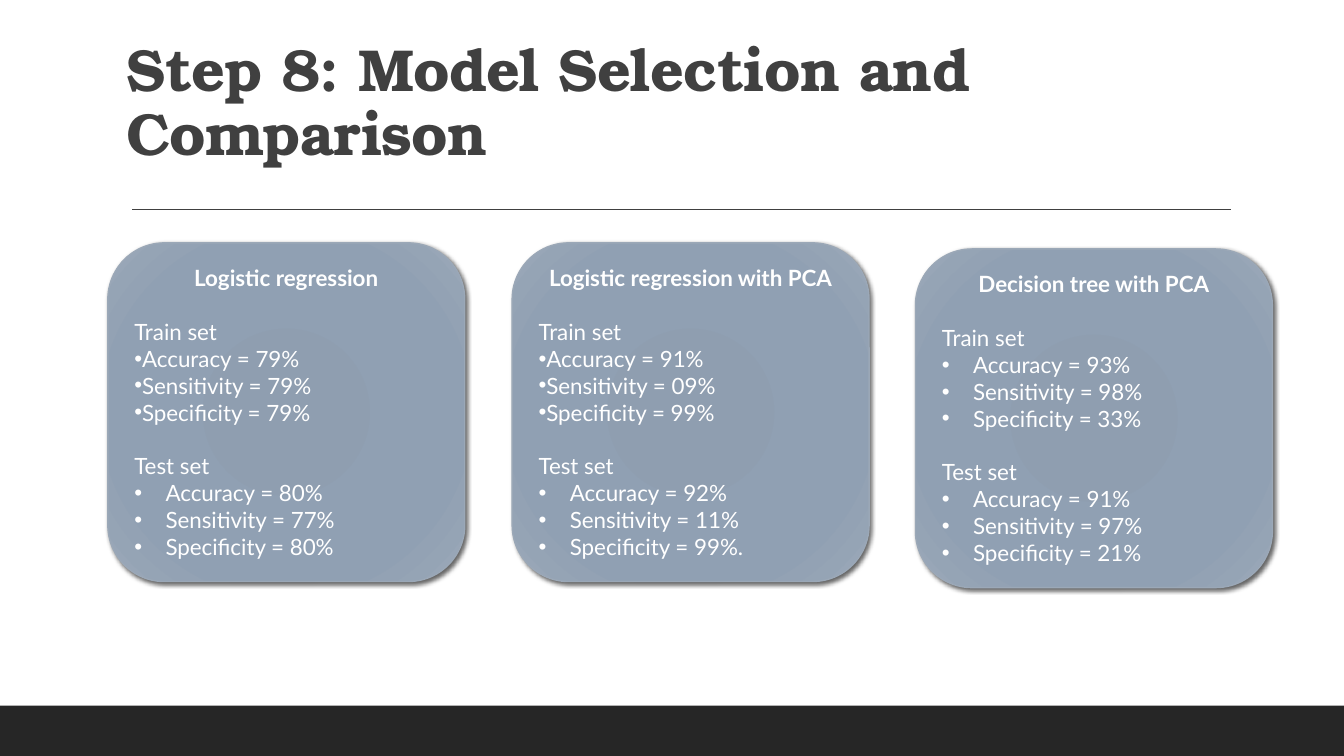
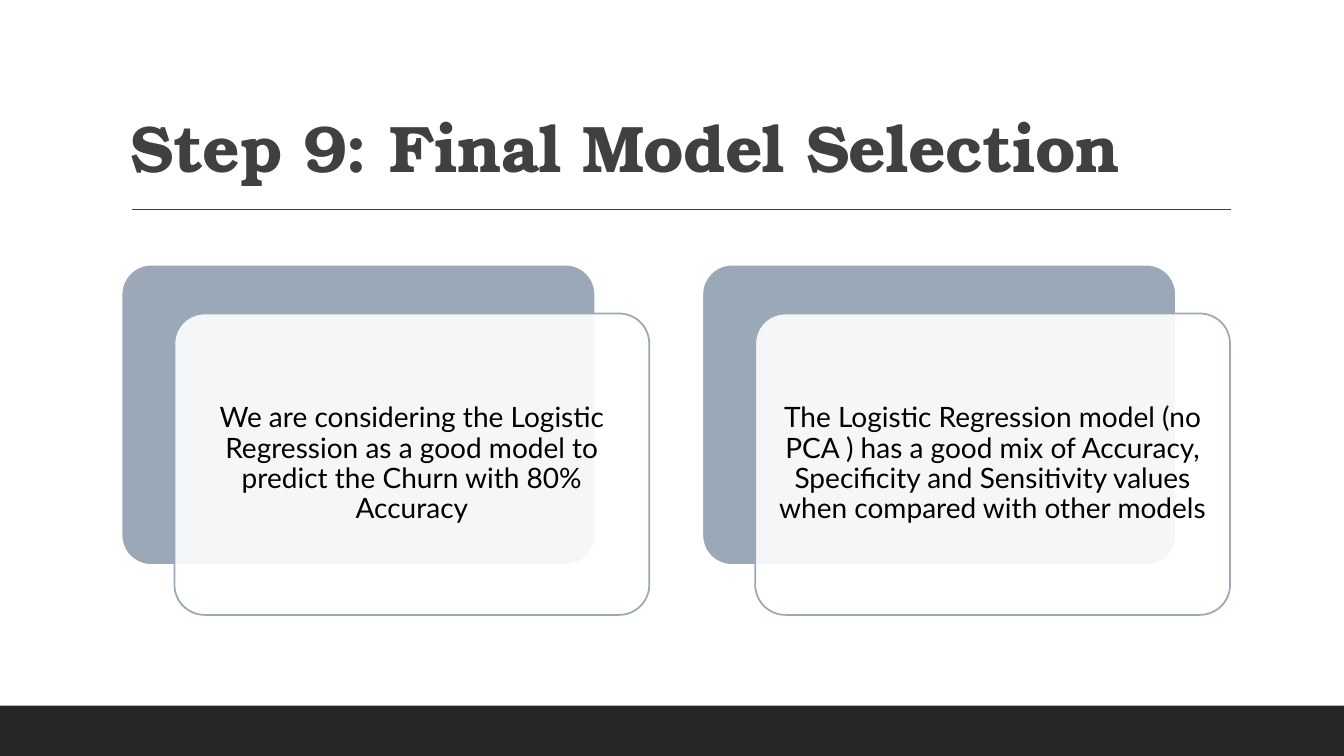
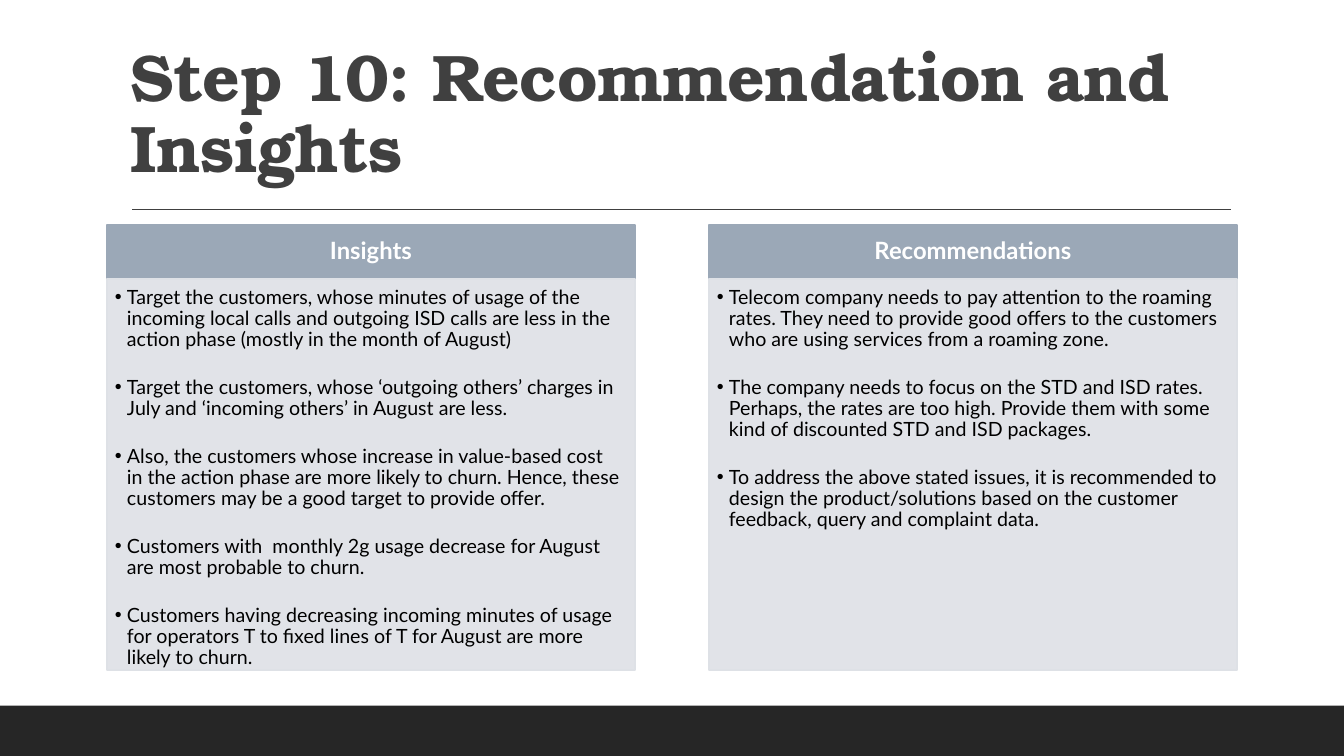
from lxml.etree import SubElement
from pptx import Presentation
from pptx.dml.color import RGBColor
from pptx.enum.shapes import MSO_CONNECTOR, MSO_SHAPE
from pptx.enum.text import MSO_ANCHOR, PP_ALIGN
from pptx.oxml import parse_xml
from pptx.oxml.ns import nsdecls, qn
from pptx.util import Inches, Pt

WHITE = RGBColor(0xFF, 0xFF, 0xFF)
BLACK = RGBColor(0x00, 0x00, 0x00)
CHARCOAL = RGBColor(0x26, 0x26, 0x26)
GRAY = RGBColor(0x40, 0x40, 0x40)
SLATE = RGBColor(0x9B, 0xA8, 0xB7)
PALE = RGBColor(0xDE, 0xE1, 0xE6)
BODY_FONT = "Lato"
TITLE_FONT = "TeX Gyre Bonum"
CARD_STOPS = [(0, "8D9CAE"), (34, "8F9EB0"), (70, "90A0B3"), (100, "9AA8B8")]


def write(shape, text, size=16, color=WHITE, font=BODY_FONT, bold=False,
          align=PP_ALIGN.LEFT, leading=1.0, before=None, after=None,
          bullet=None, spacing=None):
    frame = shape.text_frame
    paragraph = frame.add_paragraph() if frame.text else frame.paragraphs[0]
    if bullet:
        margin, indent = bullet
        props = paragraph._p.get_or_add_pPr()
        props.set("marL", str(Inches(margin)))
        props.set("indent", str(Inches(indent)))
        SubElement(props, qn("a:buFont")).set("typeface", "Arial")
        SubElement(props, qn("a:buChar")).set("char", "•")
    paragraph.alignment = align
    paragraph.line_spacing = leading
    if before:
        paragraph.space_before = Pt(before)
    if after:
        paragraph.space_after = Pt(after)
    run = paragraph.add_run()
    run.text = text
    run.font.name = font
    run.font.size = Pt(size)
    run.font.bold = bold
    run.font.color.rgb = color
    if spacing:
        run._r.get_or_add_rPr().set("spc", str(round(spacing * 100)))


def draw(slide, kind, box, fill, line=None, width=1.25, opacity=None,
         insets=(0.1, 0.05, 0.1, 0.05), anchor=MSO_ANCHOR.MIDDLE):
    shape = slide.shapes.add_shape(kind, *map(Inches, box))
    shape.shadow.inherit = False
    shape.fill.solid()
    shape.fill.fore_color.rgb = fill
    if opacity:
        color = shape._element.spPr.find(qn("a:solidFill"))[0]
        SubElement(color, qn("a:alpha")).set("val", str(opacity * 1000))
    if line is None:
        shape.line.fill.background()
    else:
        shape.line.color.rgb = line
        shape.line.width = Pt(width)
    frame = shape.text_frame
    frame.word_wrap = True
    frame.vertical_anchor = anchor
    (frame.margin_left, frame.margin_top,
     frame.margin_right, frame.margin_bottom) = map(Inches, insets)
    return shape


deck = Presentation()
deck.slide_width = Inches(13.33)
deck.slide_height = Inches(7.5)

titles = [
    ("Step 8: Model Selection and Comparison", (1.16, 0.71, 10.83, 1.01), 42.3),
    ("Step 9: Final Model Selection", (1.2, 0.31, 11, 1.59), 47),
    ("Step 10: Recommendation and Insights", (1.2, 0.31, 11, 1.59), 47),
]
slides = []
for text, box, size in titles:
    slide = deck.slides.add_slide(deck.slide_layouts[6])
    draw(slide, MSO_SHAPE.RECTANGLE, (0, 7, 13.33, 0.5), CHARCOAL)
    rule = slide.shapes.add_connector(
        MSO_CONNECTOR.STRAIGHT, Inches(1.31), Inches(2.08), Inches(12.21), Inches(2.08))
    rule.line.color.rgb = GRAY
    rule.line.width = Pt(1)
    SubElement(rule._element.spPr, qn("a:effectLst"))
    title = slide.shapes.add_textbox(*map(Inches, box))
    title.text_frame.word_wrap = True
    title.text_frame.vertical_anchor = MSO_ANCHOR.BOTTOM
    write(title, text, size=size, color=GRAY, font=TITLE_FONT, bold=True,
          leading=0.9, spacing=-0.5)
    slides.append(slide)
comparison, selection, advice = slides

METRICS = ["Accuracy", "Sensitivity", "Specificity"]
models = [
    ("Logistic regression", 1.07, 2.41, 0,
     ["79%", "79%", "79%"], ["80%", "77%", "80%"]),
    ("Logistic regression with PCA", 5.08, 2.41, 0,
     ["91%", "09%", "99%"], ["92%", "11%", "99%."]),
    ("Decision tree with PCA", 9.08, 2.47, 0.31,
     ["93%", "98%", "33%"], ["91%", "97%", "21%"]),
]
stops = "".join(f'<a:gs pos="{pos * 1000}"><a:srgbClr val="{color}"/></a:gs>'
                for pos, color in CARD_STOPS)
for name, left, top, train_margin, train, test in models:
    card = draw(comparison, MSO_SHAPE.ROUNDED_RECTANGLE, (left, top, 3.54, 3.36),
                SLATE, line=SLATE, width=1)
    card_props = card._element.spPr
    card_props.replace(card_props.find(qn("a:solidFill")), parse_xml(
        f'<a:gradFill {nsdecls("a")}><a:gsLst>{stops}</a:gsLst><a:path path="circle">'
        '<a:fillToRect l="100000" t="100000" r="100000" b="100000"/></a:path></a:gradFill>'))
    card_props.find(qn("a:effectLst")).append(parse_xml(
        f'<a:outerShdw {nsdecls("a")} blurRad="{Pt(3)}" dist="{Pt(2)}" dir="2700000">'
        '<a:srgbClr val="000000"><a:alpha val="60000"/></a:srgbClr></a:outerShdw>'))
    write(card, name, bold=True, align=PP_ALIGN.CENTER)
    for heading, margin, values in [("Train set", train_margin, train),
                                    ("Test set", 0.31, test)]:
        write(card, heading, before=19.2)
        for metric, value in zip(METRICS, values):
            write(card, f"{metric} = {value}", bullet=(margin, -0.31))

reasons = [
    "We are considering the Logistic Regression as a good model to predict the Churn "
    "with 80% Accuracy",
    "The Logistic Regression model (no PCA ) has a good mix of Accuracy, Specificity "
    "and Sensitivity values when compared with other models",
]
for index, reason in enumerate(reasons):
    left = 1.2 + index * 5.76
    backing = draw(selection, MSO_SHAPE.ROUNDED_RECTANGLE, (left, 2.62, 4.71, 2.99),
                   SLATE, line=WHITE, width=2)
    front = draw(selection, MSO_SHAPE.ROUNDED_RECTANGLE, (left + 0.53, 3.11, 4.71, 2.99),
                 WHITE, line=SLATE, opacity=90, insets=(0.08,) * 4)
    for panel in (backing, front):
        panel.adjustments[0] = 0.1
    write(front, reason, size=20, color=BLACK, align=PP_ALIGN.CENTER, leading=0.9)

columns = [
    ("Insights", [
        "Target the customers, whose minutes of usage of the incoming local calls and "
        "outgoing ISD calls are less in the action phase (mostly in the month of August)",
        "Target the customers, whose ‘outgoing others’ charges in July and "
        "‘incoming others’ in August are less.",
        "Also, the customers whose increase in value-based cost in the action phase are "
        "more likely to churn. Hence, these customers may be a good target to provide offer.",
        "Customers with  monthly 2g usage decrease for August are most probable to churn.",
        "Customers having decreasing incoming minutes of usage for operators T to fixed "
        "lines of T for August are more likely to churn.",
    ]),
    ("Recommendations", [
        "Telecom company needs to pay attention to the roaming rates. They need to provide "
        "good offers to the customers who are using services from a roaming zone.",
        "The company needs to focus on the STD and ISD rates. Perhaps, the rates are too "
        "high. Provide them with some kind of discounted STD and ISD packages.",
        "To address the above stated issues, it is recommended to design the "
        "product/solutions based on the customer feedback, query and complaint data.",
    ]),
]
for index, (heading, points) in enumerate(columns):
    left = 1.06 + index * 5.97
    header = draw(advice, MSO_SHAPE.RECTANGLE, (left, 2.23, 5.24, 0.54), SLATE,
                  line=SLATE, insets=(0.13, 0.08, 0.13, 0.08))
    write(header, heading, size=17, bold=True, align=PP_ALIGN.CENTER, leading=0.9)
    body = draw(advice, MSO_SHAPE.RECTANGLE, (left, 2.77, 5.24, 3.88), PALE,
                line=PALE, opacity=90, insets=(0.08, 0.08, 0.11, 0.12),
                anchor=MSO_ANCHOR.TOP)
    for point in points:
        write(body, point, size=14, color=BLACK, leading=0.9, after=19,
              bullet=(0.12, -0.12))

deck.save("out.pptx")
